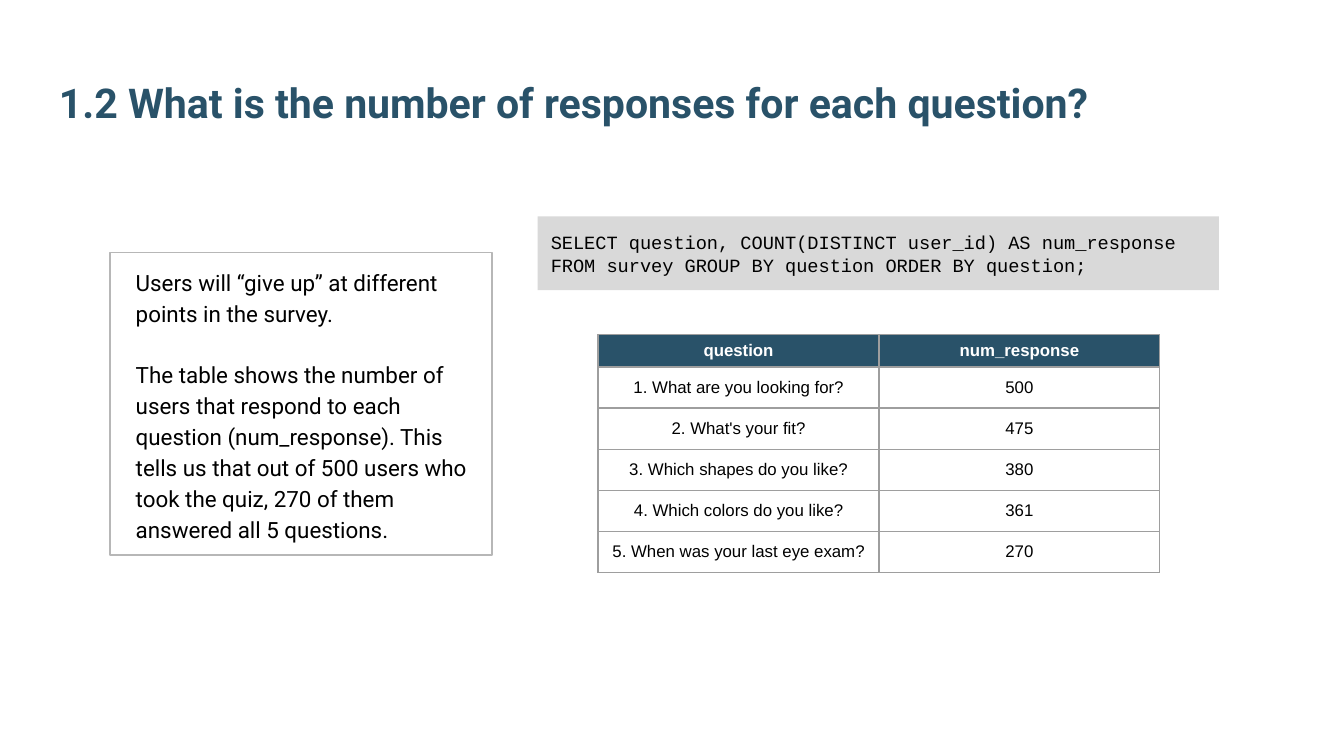
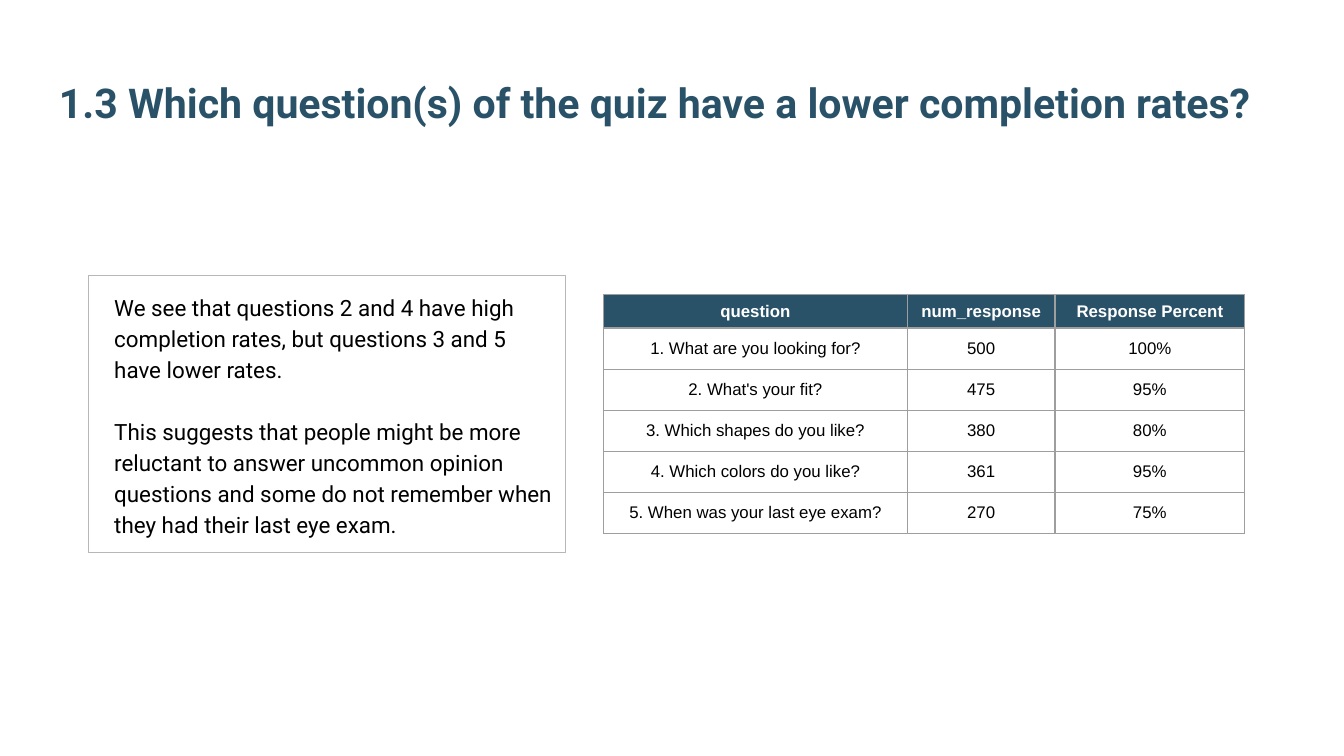
from dataclasses import dataclass

from lxml import etree
from pptx import Presentation
from pptx.dml.color import RGBColor
from pptx.enum.shapes import MSO_SHAPE
from pptx.enum.text import MSO_ANCHOR, PP_ALIGN
from pptx.oxml.ns import qn
from pptx.slide import Slide
from pptx.table import _Cell
from pptx.text.text import TextFrame
from pptx.util import Inches, Pt

RECTANGLE = MSO_SHAPE.RECTANGLE
MIDDLE = MSO_ANCHOR.MIDDLE
BOTTOM = MSO_ANCHOR.BOTTOM
LEFT = PP_ALIGN.LEFT
CENTER = PP_ALIGN.CENTER
CELL_SIDES = ("a:lnL", "a:lnR", "a:lnT", "a:lnB")


@dataclass(frozen=True)
class TextStyle:
    font: str
    size: float
    color: str
    bold: bool = False


@dataclass(frozen=True)
class Theme:
    background: str = "FFFFFF"
    header_fill: str = "295269"
    code_fill: str = "D9D9D9"
    note_line: str = "B7B7B7"
    table_line: str = "9E9E9E"
    line_width: float = 0.75
    note_spacing: float = 1.15
    note_gap: float = 16.6
    title: TextStyle = TextStyle("Roboto", 22, "295269", True)
    note: TextStyle = TextStyle("Roboto", 12, "000000")
    code: TextStyle = TextStyle("Courier New", 10, "000000")
    header: TextStyle = TextStyle("Arial", 9, "FFFFFF", True)
    body: TextStyle = TextStyle("Arial", 9, "000000")


@dataclass(frozen=True)
class Box:
    left: float
    top: float
    width: float
    height: float

    def lengths(self) -> tuple[Inches, ...]:
        return tuple(Inches(v) for v in (self.left, self.top, self.width, self.height))


@dataclass(frozen=True)
class Column:
    heading: str
    values: tuple[str, ...]
    width: float


@dataclass(frozen=True)
class ResultTable:
    left: float
    top: float
    columns: tuple[Column, ...]


@dataclass(frozen=True)
class Note:
    box: Box
    paragraphs: tuple[str, ...]


@dataclass(frozen=True)
class QuestionSlide:
    title: str
    note: Note
    results: ResultTable
    query: str = ""


THEME = Theme()
SLIDE_WIDTH = 10
SLIDE_HEIGHT = SLIDE_WIDTH * 9 / 16
TITLE_BOX = Box(0.34, 0.32, 9.32, 0.72)
QUERY_BOX = Box(4, 1.61, 5.07, 0.55)
TABLE_HEIGHT = 1.77
HEADER_HEIGHT = 0.24

QUESTIONS = (
    "1. What are you looking for?",
    "2. What's your fit?",
    "3. Which shapes do you like?",
    "4. Which colors do you like?",
    "5. When was your last eye exam?",
)
RESPONSES = ("500", "475", "380", "361", "270")
PERCENTAGES = ("100%", "95%", "80%", "95%", "75%")

QUESTION_SLIDES = (
    QuestionSlide(
        "1.2 What is the number of responses for each question?",
        Note(
            Box(0.82, 1.88, 2.84, 2.25),
            (
                "Users will “give up” at different points in the survey.",
                "The table shows the number of users that respond to each question "
                "(num_response). This tells us that out of 500 users who took the quiz, "
                "270 of them answered all 5 questions.",
            ),
        ),
        ResultTable(
            4.45,
            2.49,
            (
                Column("question", QUESTIONS, 2.09),
                Column("num_response", RESPONSES, 2.09),
            ),
        ),
        "SELECT question, COUNT(DISTINCT user_id) AS num_response "
        "FROM survey GROUP BY question ORDER BY question;",
    ),
    QuestionSlide(
        "1.3 Which question(s) of the quiz have a lower completion rates?",
        Note(
            Box(0.66, 2.05, 3.55, 2.06),
            (
                "We see that questions 2 and 4 have high completion rates, "
                "but questions 3 and 5 have lower rates.",
                "This suggests that people might be more reluctant to answer uncommon "
                "opinion questions and some do not remember when they had their last "
                "eye exam.",
            ),
        ),
        ResultTable(
            4.49,
            2.19,
            (
                Column("question", QUESTIONS, 2.26),
                Column("num_response", RESPONSES, 1.1),
                Column("Response Percent", PERCENTAGES, 1.41),
            ),
        ),
    ),
)


def rgb(color: str) -> RGBColor:
    return RGBColor.from_string(color)


def write_text(
    frame: TextFrame,
    paragraphs: tuple[str, ...],
    style: TextStyle,
    alignment: PP_ALIGN = LEFT,
    spacing: float = 1.0,
    gap: float = 0,
) -> None:
    for index, text in enumerate(paragraphs):
        paragraph = frame.add_paragraph() if index else frame.paragraphs[0]
        paragraph.text = text
        paragraph.alignment = alignment
        paragraph.line_spacing = spacing
        paragraph.space_before = Pt(gap if index else 0)
        paragraph.font.name = style.font
        paragraph.font.size = Pt(style.size)
        paragraph.font.bold = style.bold
        paragraph.font.color.rgb = rgb(style.color)


def set_frame(frame: TextFrame, anchor: MSO_ANCHOR, left_inset: float = 0.1) -> None:
    frame.word_wrap = True
    frame.vertical_anchor = anchor
    frame.margin_left = Inches(left_inset)
    frame.margin_right = frame.margin_top = frame.margin_bottom = Inches(0.1)


def add_title(slide: Slide, title: str) -> None:
    frame = slide.shapes.add_textbox(*TITLE_BOX.lengths()).text_frame
    set_frame(frame, BOTTOM)
    write_text(frame, (title,), THEME.title)


def add_note(slide: Slide, note: Note) -> None:
    panel = slide.shapes.add_shape(RECTANGLE, *note.box.lengths())
    panel.shadow.inherit = False
    panel.fill.background()
    panel.line.color.rgb = rgb(THEME.note_line)
    panel.line.width = Pt(THEME.line_width)
    set_frame(panel.text_frame, MIDDLE, 0.19)
    write_text(
        panel.text_frame,
        note.paragraphs,
        THEME.note,
        spacing=THEME.note_spacing,
        gap=THEME.note_gap,
    )


def add_query(slide: Slide, query: str) -> None:
    panel = slide.shapes.add_shape(RECTANGLE, *QUERY_BOX.lengths())
    panel.shadow.inherit = False
    panel.fill.solid()
    panel.fill.fore_color.rgb = rgb(THEME.code_fill)
    panel.line.fill.background()
    set_frame(panel.text_frame, MIDDLE)
    write_text(panel.text_frame, (query,), THEME.code)


def set_borders(cell: _Cell) -> None:
    properties = cell._tc.get_or_add_tcPr()
    for position, side in enumerate(CELL_SIDES):
        border = etree.Element(qn(side), w=str(Pt(THEME.line_width)))
        fill = etree.SubElement(border, qn("a:solidFill"))
        etree.SubElement(fill, qn("a:srgbClr"), val=THEME.table_line)
        properties.insert(position, border)


def fill_cell(cell: _Cell, text: str, is_header: bool) -> None:
    cell.vertical_anchor = MIDDLE
    if is_header:
        cell.fill.solid()
        cell.fill.fore_color.rgb = rgb(THEME.header_fill)
    else:
        cell.fill.background()
    style = THEME.header if is_header else THEME.body
    write_text(cell.text_frame, (text,), style, CENTER)
    set_borders(cell)


def add_results(slide: Slide, results: ResultTable) -> None:
    answer_count = len(results.columns[0].values)
    width = sum(column.width for column in results.columns)
    box = Box(results.left, results.top, width, TABLE_HEIGHT)
    table = slide.shapes.add_table(
        answer_count + 1, len(results.columns), *box.lengths()
    ).table
    table.horz_banding = False
    answer_height = (TABLE_HEIGHT - HEADER_HEIGHT) / answer_count
    for index, row in enumerate(table.rows):
        row.height = Inches(answer_height if index else HEADER_HEIGHT)
    for column_index, column in enumerate(results.columns):
        table.columns[column_index].width = Inches(column.width)
        for row_index, text in enumerate((column.heading, *column.values)):
            fill_cell(table.cell(row_index, column_index), text, row_index == 0)


def main() -> None:
    """Build the two survey question slides and save them."""
    presentation = Presentation()
    presentation.slide_width = Inches(SLIDE_WIDTH)
    presentation.slide_height = Inches(SLIDE_HEIGHT)
    blank_layout = presentation.slide_layouts[6]
    for content in QUESTION_SLIDES:
        slide = presentation.slides.add_slide(blank_layout)
        slide.background.fill.solid()
        slide.background.fill.fore_color.rgb = rgb(THEME.background)
        add_note(slide, content.note)
        add_results(slide, content.results)
        if content.query:
            add_query(slide, content.query)
        add_title(slide, content.title)
    presentation.save("out.pptx")


if __name__ == "__main__":
    main()
